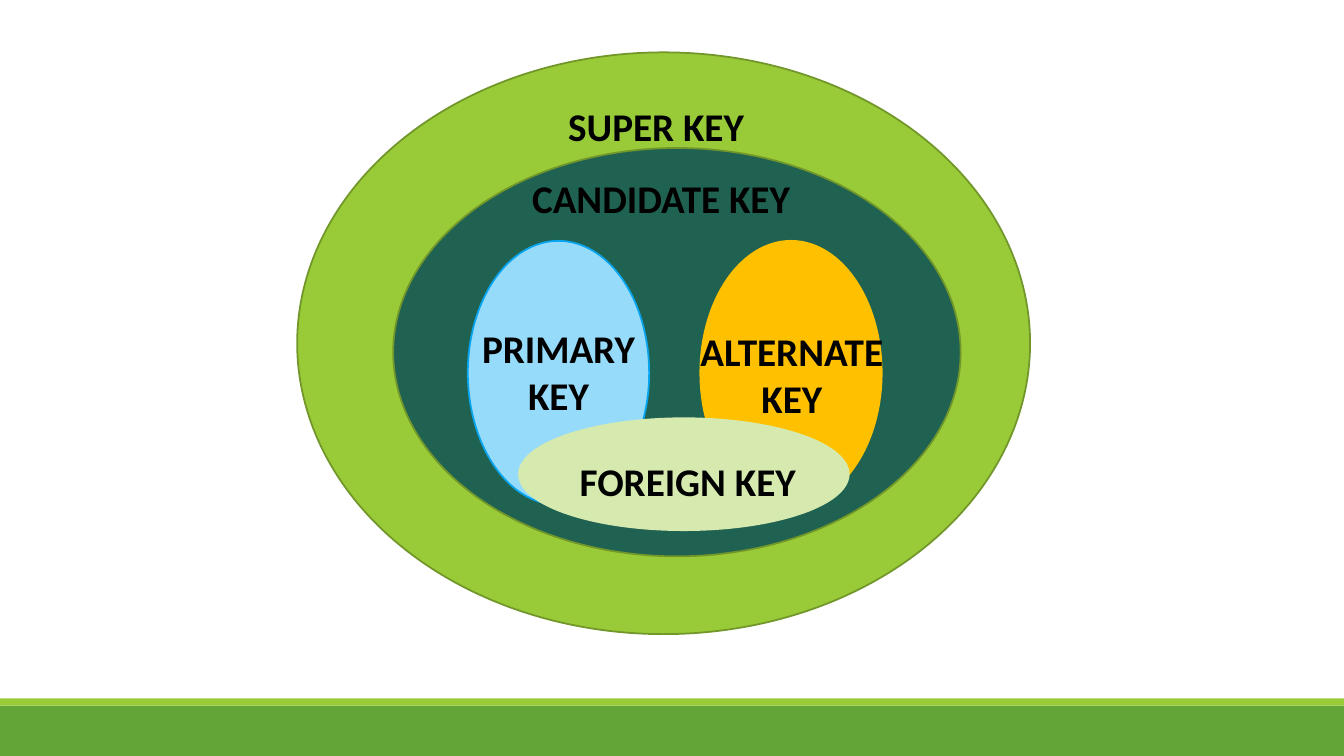
from dataclasses import dataclass

from pptx import Presentation
from pptx.dml.color import RGBColor
from pptx.enum.shapes import MSO_SHAPE
from pptx.enum.text import MSO_AUTO_SIZE, PP_ALIGN
from pptx.util import Cm, Pt


@dataclass(frozen=True)
class Theme:
    font: str = "Calibri"
    size: int = 28
    edge: float = 1.25
    ink: str = "000000"
    lime: str = "99CB38"
    olive: str = "719629"
    grass: str = "63A537"
    teal: str = "206252"
    sky: str = "97DBFB"
    blue: str = "08A5EF"
    gold: str = "FFC000"
    pale: str = "D6EAAF"


THEME = Theme()
WIDE, HIGH = 33.87, 19.05


def add_form(slide, kind, box, fill, line=None):
    """Add a filled shape; box is left, top, width, height in cm."""
    form = slide.shapes.add_shape(kind, *map(Cm, box))
    form.shadow.inherit = False
    form.fill.solid()
    form.fill.fore_color.rgb = RGBColor.from_string(fill)
    if line:
        form.line.color.rgb = RGBColor.from_string(line)
        form.line.width = Pt(THEME.edge)
    else:
        form.line.fill.background()


def add_oval(slide, box, fill, line):
    add_form(slide, MSO_SHAPE.OVAL, box, fill, line)


def add_band(slide, top, height, fill):
    add_form(slide, MSO_SHAPE.RECTANGLE, (0, top, WIDE, height), fill)


def add_label(slide, text, box, align=PP_ALIGN.CENTER):
    frame = slide.shapes.add_textbox(*map(Cm, box)).text_frame
    frame.word_wrap = True
    frame.auto_size = MSO_AUTO_SIZE.SHAPE_TO_FIT_TEXT
    para = frame.paragraphs[0]
    para.text = text
    para.alignment = align
    para.font.name = THEME.font
    para.font.size = Pt(THEME.size)
    para.font.bold = True
    para.font.color.rgb = RGBColor.from_string(THEME.ink)


def main():
    deck = Presentation()
    deck.slide_width, deck.slide_height = Cm(WIDE), Cm(HIGH)
    slide = deck.slides.add_slide(deck.slide_layouts[6])

    # Footer bands
    add_band(slide, 17.78, 1.27, THEME.grass)
    add_band(slide, 17.6, 0.18, THEME.lime)

    # Nested key sets
    add_oval(slide, (7.49, 1.32, 18.47, 14.66), THEME.lime, THEME.olive)
    add_oval(slide, (9.91, 3.73, 14.3, 10.29), THEME.teal, THEME.olive)
    add_oval(slide, (11.79, 6.07, 4.57, 6.65), THEME.sky, THEME.blue)
    add_oval(slide, (17.65, 6.07, 4.57, 6.65), THEME.gold, THEME.gold)

    # Labels of the sets
    add_label(slide, "CANDIDATE KEY", (13.16, 4.27, 9.8, 1.45), PP_ALIGN.LEFT)
    add_label(slide, "SUPER KEY", (14.07, 2.46, 9.8, 1.45), PP_ALIGN.LEFT)
    add_label(slide, "PRIMARY KEY", (11.79, 8.05, 4.57, 2.64))
    add_label(slide, "ALTERNATE KEY", (17.3, 8.13, 5.31, 2.64))

    # Foreign key overlaps both inner sets
    add_oval(slide, (13.08, 10.54, 8.31, 2.82), THEME.pale, THEME.pale)
    add_label(slide, "FOREIGN KEY", (14.17, 11.4, 6.32, 1.45))

    deck.save("out.pptx")


main()
